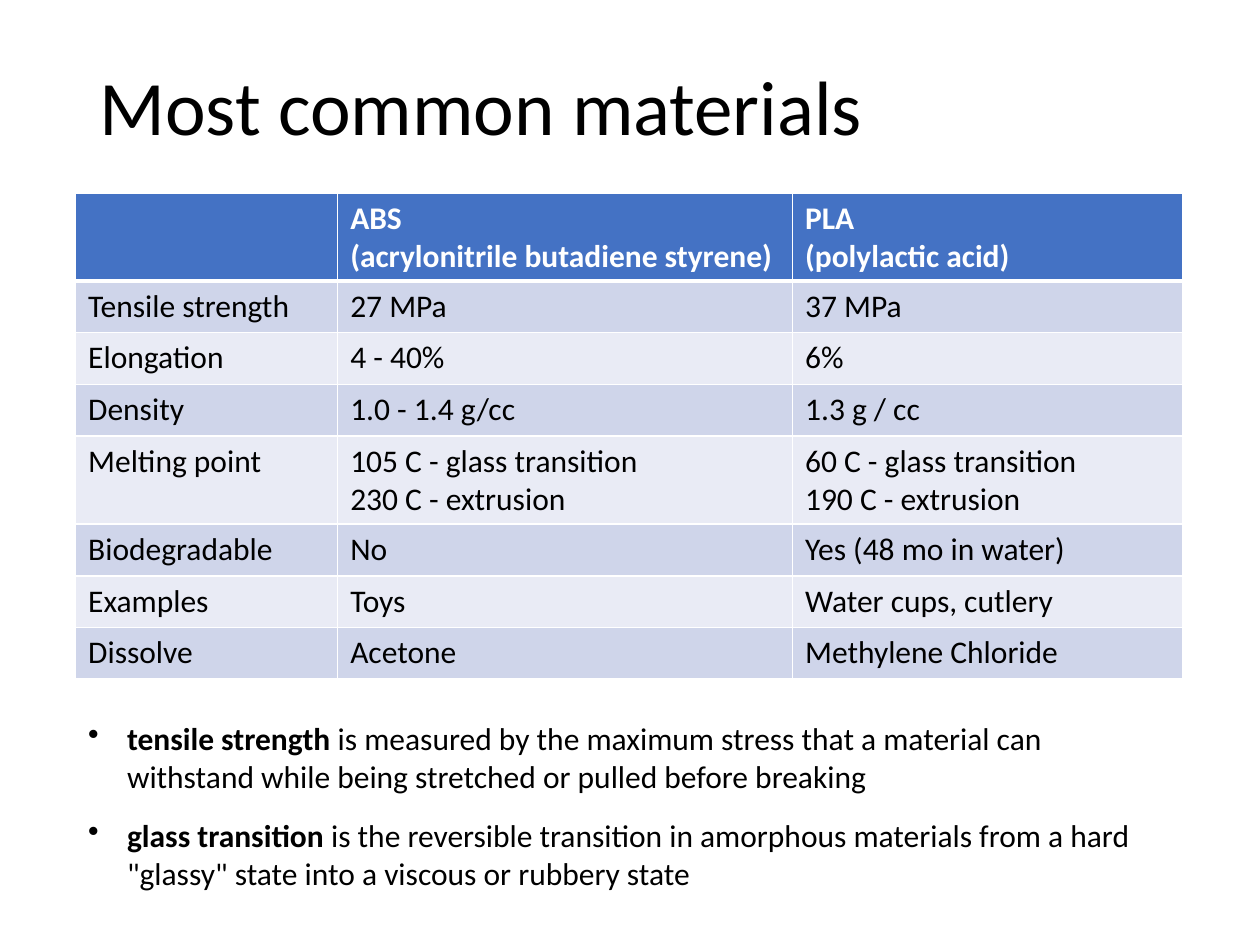
from dataclasses import dataclass

from lxml import etree
from pptx import Presentation
from pptx import util as u
from pptx.dml.color import RGBColor
from pptx.enum import text
from pptx.oxml.ns import qn

EMU_PER_PX = 9144  # 100 px to the inch


def px(length):
    return u.Emu(length * EMU_PER_PX)


@dataclass(frozen=True)
class Theme:
    font: str = "Calibri"
    ink: str = "000000"
    paper: str = "FFFFFF"
    header: str = "4472C4"
    bands: tuple = ("CFD5EA", "E9EBF5")
    title_size: int = 44
    body_size: int = 18


class SlideBuilder:
    def __init__(self, slide, theme):
        self.slide = slide
        self.theme = theme

    def style(self, paragraph, size, color, bold=None):
        font = paragraph.font
        font.name = self.theme.font
        font.size = u.Pt(size)
        font.color.rgb = RGBColor.from_string(color)
        font.bold = bold

    def text_box(self, left, top, width, height):
        shape = self.slide.shapes.add_textbox(px(left), px(top), px(width), px(height))
        shape.text_frame.word_wrap = True
        return shape.text_frame

    def title(self, wording, *box):
        frame = self.text_box(*box)
        frame.vertical_anchor = text.MSO_ANCHOR.MIDDLE
        paragraph = frame.paragraphs[0]
        paragraph.text = wording
        paragraph.line_spacing = 0.9
        self.style(paragraph, self.theme.title_size, self.theme.ink)

    def bullets(self, items, *box, indent=31, gap=6):
        frame = self.text_box(*box)
        frame.auto_size = text.MSO_AUTO_SIZE.SHAPE_TO_FIT_TEXT
        for index, (term, definition) in enumerate(items):
            paragraph = frame.add_paragraph() if index else frame.paragraphs[0]
            properties = paragraph._p.get_or_add_pPr()
            properties.set("marL", str(px(indent)))
            properties.set("indent", str(-px(indent)))
            etree.SubElement(properties, qn("a:buChar"), char="•")
            paragraph.space_before = u.Pt(gap if index else 0)
            paragraph.space_after = u.Pt(gap)
            self.style(paragraph, self.theme.body_size, self.theme.ink)
            run = paragraph.add_run()
            run.text = term
            run.font.bold = True
            paragraph.add_run().text = definition

    def cell_borders(self, cell, top, bottom):
        properties = cell._tc.get_or_add_tcPr()
        for side, points in (("L", 1), ("R", 1), ("T", top), ("B", bottom)):
            line = etree.SubElement(properties, qn(f"a:ln{side}"), w=str(u.Pt(points)))
            fill = etree.SubElement(line, qn("a:solidFill"))
            etree.SubElement(fill, qn("a:srgbClr"), val=self.theme.paper)

    def table(self, rows, left, top, column_widths, line_heights):
        heights = [
            line_heights[max(len(wording.splitlines()) for wording in row) - 1]
            for row in rows
        ]
        table = self.slide.shapes.add_table(
            len(rows), len(column_widths), px(left), px(top),
            px(sum(column_widths)), px(sum(heights)),
        ).table
        for column, width in zip(table.columns, column_widths):
            column.width = px(width)
        for index, (row, height, wordings) in enumerate(zip(table.rows, heights, rows)):
            row.height = px(height)
            is_header = index == 0
            fill = self.theme.header if is_header else self.theme.bands[(index - 1) % 2]
            color = self.theme.paper if is_header else self.theme.ink
            for cell, wording in zip(row.cells, wordings):
                # A heavier rule parts the header from the body
                self.cell_borders(cell, 3 if index == 1 else 1, 3 if is_header else 1)
                cell.fill.solid()
                cell.fill.fore_color.rgb = RGBColor.from_string(fill)
                cell.text = wording
                for paragraph in cell.text_frame.paragraphs:
                    self.style(paragraph, self.theme.body_size, color, is_header)


# "\v" is a line break inside a paragraph, "\n" starts a new paragraph
MATERIALS = [
    ("", "ABS\v(acrylonitrile butadiene styrene)", "PLA\v(polylactic acid)"),
    ("Tensile strength", "27 MPa", "37 MPa"),
    ("Elongation", "4 - 40%", "6%"),
    ("Density", "1.0 - 1.4 g/cc", "1.3 g / cc"),
    ("Melting point", "105 C - glass transition\v230 C - extrusion",
     "60 C - glass transition\n190 C - extrusion"),
    ("Biodegradable", "No", "Yes (48 mo in water)"),
    ("Examples", "Toys", "Water cups, cutlery"),
    ("Dissolve", "Acetone", "Methylene Chloride"),
]

DEFINITIONS = [
    ("tensile strength", " is measured by the maximum stress that a material can "
     "withstand while being stretched or pulled before breaking"),
    ("glass transition", " is the reversible transition in amorphous materials from "
     'a hard "glassy" state into a viscous or rubbery state'),
]


def main():
    presentation = Presentation()
    presentation.slide_width, presentation.slide_height = px(1000), px(750)
    slide = presentation.slides.add_slide(presentation.slide_layouts[6])
    builder = SlideBuilder(slide, Theme())

    # Definitions below the table
    builder.bullets(DEFINITIONS, 60, 566, 858, 148)

    # Comparison of the two materials
    builder.table(MATERIALS, 60, 153, column_widths=(208, 361, 310), line_heights=(41, 69))

    # Title
    builder.title("Most common materials", 69, 40, 862, 96)

    presentation.save("out.pptx")


if __name__ == "__main__":
    main()
